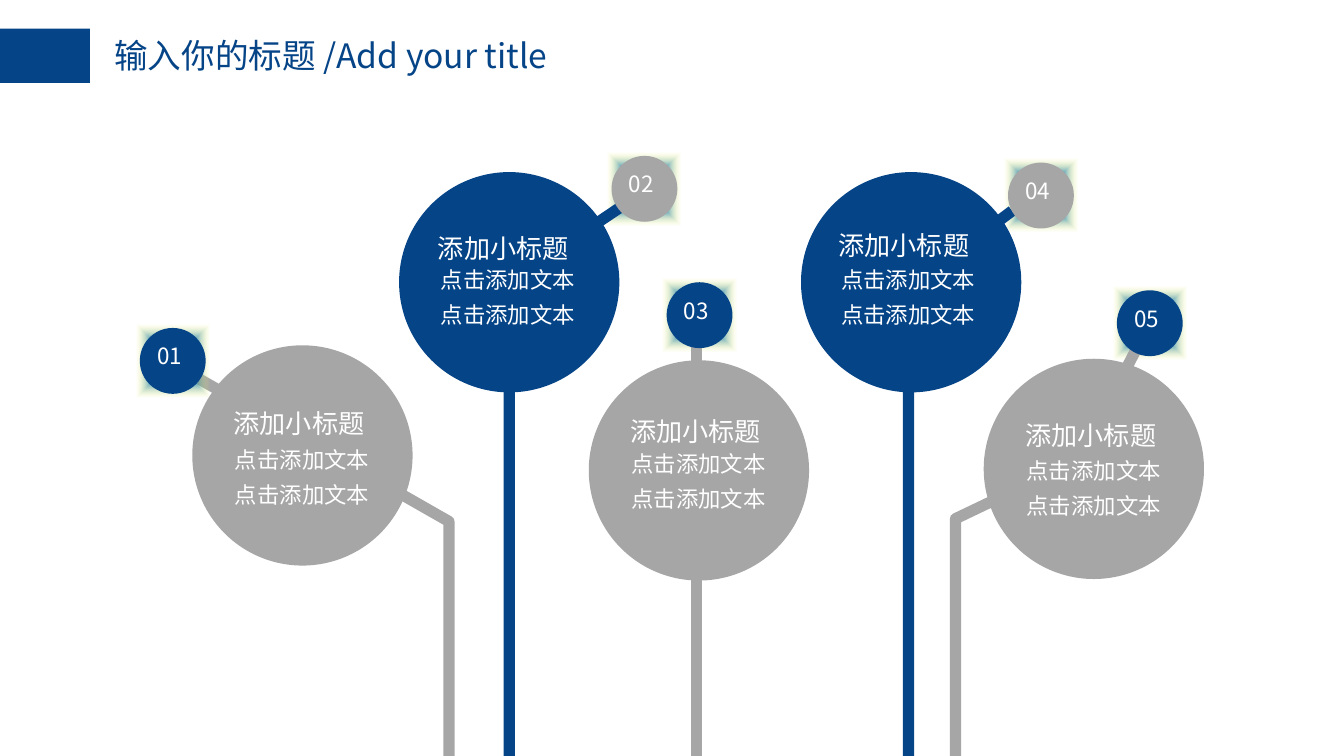
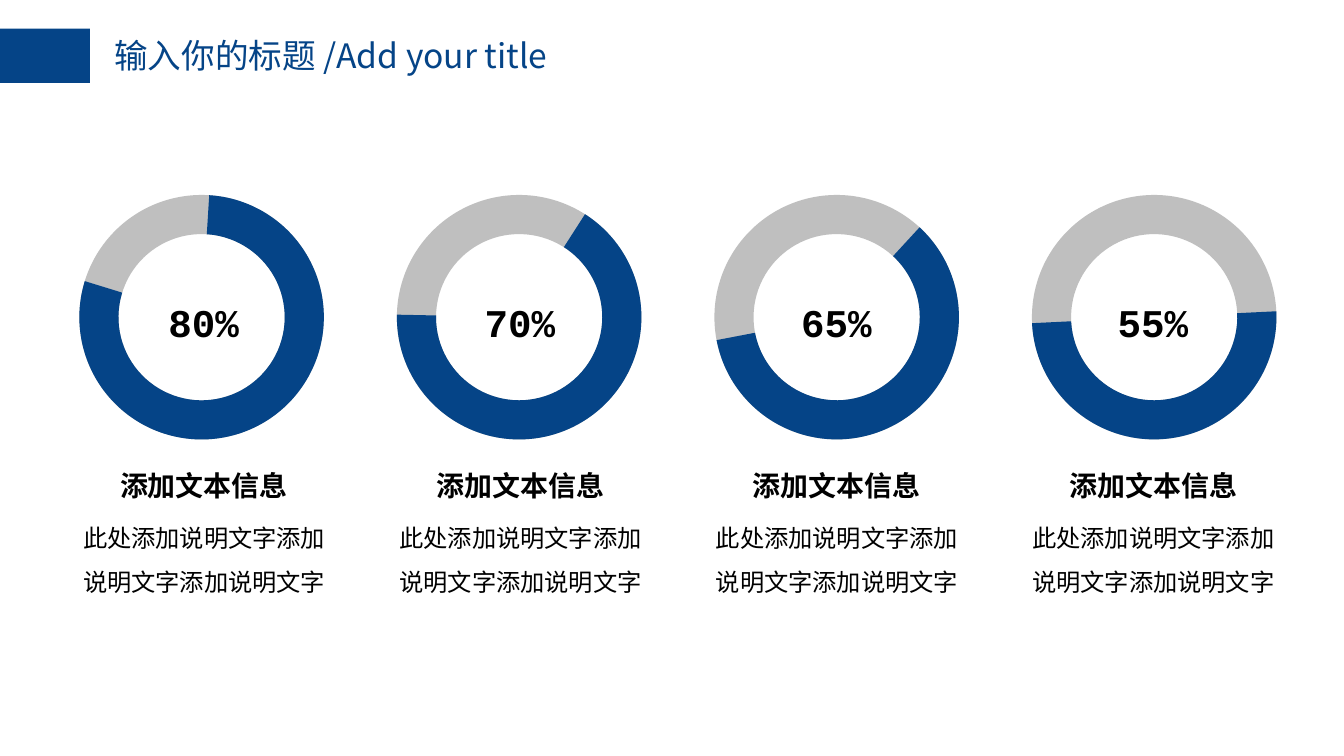
"""Build two slides: a tree of numbered topics and a row of ring gauges."""
from typing import Any, NamedTuple

from lxml import etree
from pptx import Presentation
from pptx.dml.color import RGBColor
from pptx.enum.shapes import MSO_CONNECTOR, MSO_SHAPE
from pptx.enum.text import MSO_ANCHOR, MSO_AUTO_SIZE, PP_ALIGN
from pptx.oxml import parse_xml
from pptx.oxml.ns import nsdecls, qn
from pptx.util import Pt

BLUE = RGBColor(0x05, 0x44, 0x87)
GRAY = RGBColor(0xA6, 0xA6, 0xA6)
PALE = RGBColor(0xBF, 0xBF, 0xBF)
WHITE = RGBColor(0xFF, 0xFF, 0xFF)
BLACK = RGBColor(0, 0, 0)
SANS = "Noto Sans CJK SC"
MONO = "Courier New"

OVAL = MSO_SHAPE.OVAL
RECT = MSO_SHAPE.RECTANGLE
DONUT = MSO_SHAPE.DONUT
ARC = MSO_SHAPE.BLOCK_ARC
LINE = MSO_CONNECTOR.STRAIGHT
TOP = MSO_ANCHOR.TOP
LEFT = PP_ALIGN.LEFT
MID = PP_ALIGN.CENTER
FIT = MSO_AUTO_SIZE.SHAPE_TO_FIT_TEXT
FIXED = MSO_AUTO_SIZE.NONE

TITLE = "输入你的标题 /Add your title"
HEAD = "添加小标题"
BODY = "点击添加文本\n点击添加文本"
LABEL = "添加文本信息"
NOTE = "此处添加说明文字添加说明文字添加说明文字"

DISC = 118
NODE = 35.3
FOOT = 408
GLOW = (
    f'<a:gradFill {nsdecls("a")}><a:gsLst>'
    '<a:gs pos="15000"><a:srgbClr val="00B0F0"/></a:gs>'
    '<a:gs pos="31000"><a:srgbClr val="0070C0"/></a:gs>'
    '<a:gs pos="63000"><a:srgbClr val="FFFB6C"><a:alpha val="0"/></a:srgbClr></a:gs>'
    '</a:gsLst><a:path path="shape">'
    '<a:fillToRect l="50000" t="50000" r="50000" b="50000"/></a:path></a:gradFill>'
)


class Box(NamedTuple):
    """Hold left, top, width and height in points."""
    x: float
    y: float
    w: float
    h: float

    def emu(self) -> tuple[int, ...]:
        """Return the four lengths as slide units."""
        return tuple(Pt(v) for v in self)


class Tree(NamedTuple):
    """Describe one topic: disc, node, text places and stem."""
    tone: RGBColor
    disc: tuple[float, float]
    node: tuple[float, float]
    head: tuple[float, float]
    body: tuple[float, float]
    stem: list[tuple[float, float]]
    slack: float = 0


class Ring(NamedTuple):
    """Describe one gauge: its figure, turn and arc start."""
    text: str
    turn: float
    start: float


TREES = [
    Tree(GRAY, (103, 185), (74.9, 175.7), (118.1, 214.6), (118.8, 231.1),
         [(106.6, 203), (240.5, 279.4), (240.5, FOOT)]),
    Tree(BLUE, (213.8, 92.2), (327.6, 83.5), (227.5, 121), (229, 134.6),
         [(332.6, 110.9), (272.9, 151.2), (272.9, FOOT)]),
    Tree(GRAY, (315.4, 193), (357.1, 151.2), (330.5, 218.9), (331.2, 233.3),
         [(373, 175.7), (373, FOOT)]),
    Tree(BLUE, (429.1, 92.2), (540, 87.1), (442.1, 119.5), (443.5, 134.6),
         [(542.2, 113), (486.7, 154.8), (486.7, FOOT)], 8.6),
    Tree(GRAY, (527, 192.2), (598.3, 155.5), (542.2, 221), (542.9, 236.9),
         [(609.8, 185), (578.2, 246.2), (511.9, 277.9), (511.9, FOOT)]),
]
RINGS = [
    Ring("80%", 196, 46.55),
    Ring("70%", 180, 73.56),
    Ring("65%", 168, 86.83),
    Ring("55%", 176, 108.75),
]


def style(para: Any, size: float, tone: RGBColor, font: str = SANS,
          bold: bool = False, align: Any = LEFT) -> None:
    """Format a paragraph and its runs."""
    para.alignment = align
    for run in para.runs:
        run.font.size = Pt(size)
        run.font.name = font
        run.font.bold = bold
        run.font.color.rgb = tone
        face = etree.SubElement(run.font._element, qn("a:ea"))
        face.set("typeface", font)


def shape(shapes: Any, kind: Any, box: Box, tone: RGBColor) -> Any:
    """Add a flat preset shape."""
    item = shapes.add_shape(kind, *box.emu())
    item.shadow.inherit = False
    item.fill.solid()
    item.fill.fore_color.rgb = tone
    item.line.fill.background()
    return item


def write(shapes: Any, box: Box, text: str, wrap: bool = True, fit: Any = FIT) -> Any:
    """Add a text box and return its frame."""
    frame = shapes.add_textbox(*box.emu()).text_frame
    frame.text = text
    frame.word_wrap = wrap
    frame.auto_size = fit
    return frame


def glow(shapes: Any, spot: tuple[float, float], size: float, halo: float) -> None:
    """Add a fading halo centred on a circle."""
    gap = (size - halo) / 2
    item = shape(shapes, OVAL, Box(spot[0] + gap, spot[1] + gap, halo, halo), WHITE)
    props = item._element.spPr
    props.replace(props.find(qn("a:solidFill")), parse_xml(GLOW))


def stem(shapes: Any, tree: Tree) -> None:
    """Draw the line from a node down to the slide's foot."""
    pts = [(Pt(x), Pt(y)) for x, y in tree.stem]
    if len(pts) == 2:
        item = shapes.add_connector(LINE, *pts[0], *pts[1])
        etree.SubElement(item._element.spPr, qn("a:effectLst"))
    else:
        pen = shapes.build_freeform(*pts[0], scale=1.0)
        pen.add_line_segments(pts[1:], close=False)
        item = pen.convert_to_shape()
        item.shadow.inherit = False
        item.fill.background()
    item.line.color.rgb = tree.tone
    item.line.width = Pt(6)


def node(shapes: Any, tree: Tree, num: int) -> None:
    """Draw the small numbered circle."""
    x, y = tree.node
    group = shapes.add_group_shape().shapes
    shape(group, OVAL, Box(x, y, NODE, NODE), GRAY if tree.tone == BLUE else BLUE)
    frame = write(group, Box(x + 2.2, y + 4.3, 31.7, 21.6), f"{num:02d}")
    style(frame.paragraphs[0], 12, WHITE)


def disc(shapes: Any, tree: Tree) -> None:
    """Draw the large circle with its heading and lines."""
    group = shapes.add_group_shape().shapes
    shape(group, OVAL, Box(*tree.disc, DISC, DISC), tree.tone)
    body = write(group, Box(*tree.body, 87.1 + tree.slack, 45.4), BODY, False)
    for para in body.paragraphs:
        style(para, 12, WHITE)
        para.line_spacing = Pt(18.8)
    head = write(group, Box(*tree.head, 85 + tree.slack, 24.5), HEAD, False)
    style(head.paragraphs[0], 14, WHITE)


def ring(shapes: Any, item: Ring, col: int) -> None:
    """Draw one gauge with its figure and caption."""
    box = Box(42.5 + 170.1 * col, 104.4, 131, 131)
    group = shapes.add_group_shape().shapes
    base = shape(group, DONUT, box, PALE)
    base.rotation = 196
    base.adjustments[0] = 0.16
    arc = shape(group, ARC, box, BLUE)
    arc.rotation = item.turn
    for i, value in enumerate((item.start, 0.7, 0.16)):
        arc.adjustments[i] = value

    step = 169.5 * col
    mark = write(shapes, Box(69.5 + step, 156.2, 79.2, 34.6), item.text)
    style(mark.paragraphs[0], 21, BLACK, MONO, True, MID)
    note = write(shapes, Box(32.3 + step, 247.7, 154, 88.6), f"{LABEL}\n{NOTE}", fit=FIXED)
    label, text = note.paragraphs
    style(label, 15, BLACK, bold=True, align=MID)
    style(text, 13, BLACK, align=MID)
    text.line_spacing = 1.5
    text.space_before = Pt(3.2)
    for frame in (mark, note):
        frame.margin_left = frame.margin_right = Pt(7.9)


def page(deck: Any) -> Any:
    """Add a slide with band and title and return its shapes."""
    shapes = deck.slides.add_slide(deck.slide_layouts[5]).shapes
    shape(shapes, RECT, Box(0, 15.4, 48.2, 29), BLUE)
    title = shapes.title
    title.left, title.top, title.width, title.height = Box(54, 15.1, 300, 51).emu()
    frame = title.text_frame
    frame.text = TITLE
    frame.word_wrap = True
    frame.auto_size = FIXED
    frame.vertical_anchor = TOP
    style(frame.paragraphs[0], 18, BLUE)
    return shapes


def main() -> None:
    """Build and save the deck."""
    deck = Presentation()
    deck.slide_width, deck.slide_height = Pt(720), Pt(405)

    shapes = page(deck)
    stem(shapes, TREES[0])
    for tree in TREES:
        glow(shapes, tree.disc, DISC, 113.8)
        glow(shapes, tree.node, NODE, 62.6)
    for tree in TREES[1:]:
        stem(shapes, tree)
    for num, tree in enumerate(TREES, 1):
        node(shapes, tree, num)
    for tree in TREES:
        disc(shapes, tree)

    shapes = page(deck)
    for col, item in enumerate(RINGS):
        ring(shapes, item, col)
    deck.save("out.pptx")


if __name__ == "__main__":
    main()
